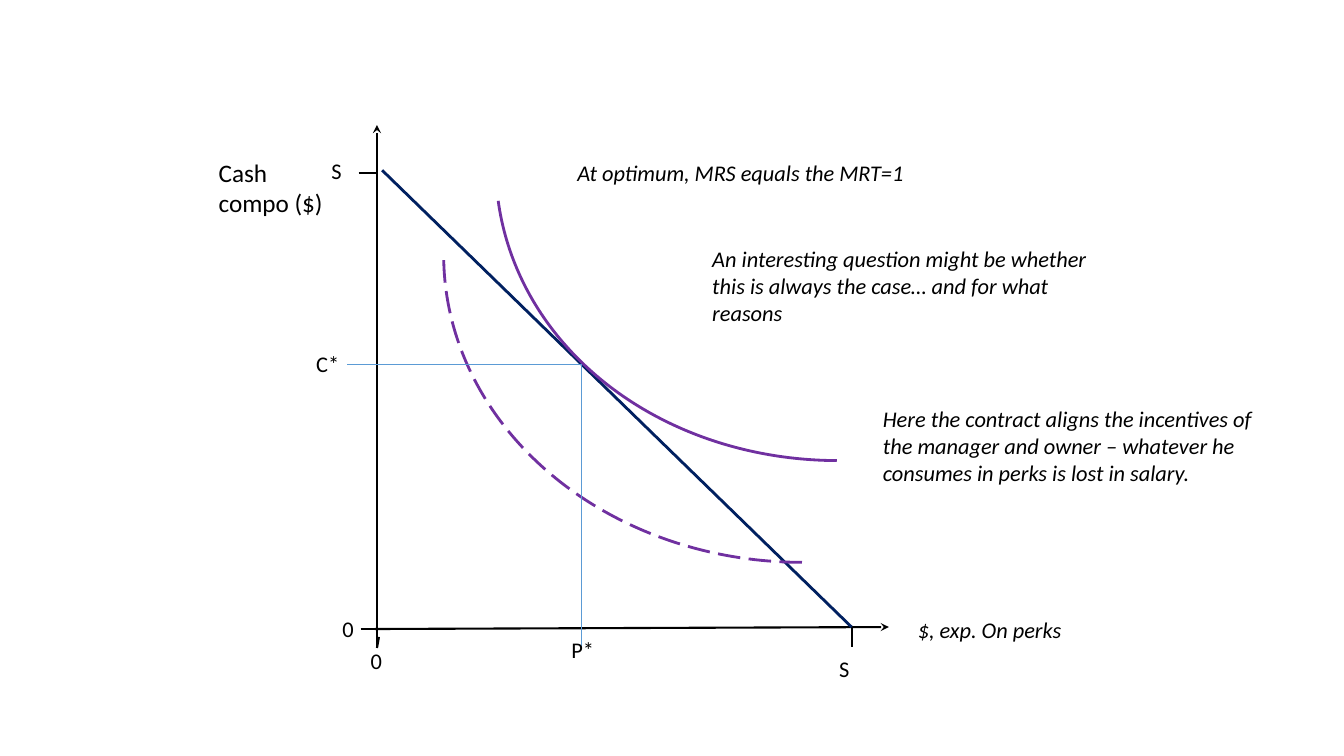
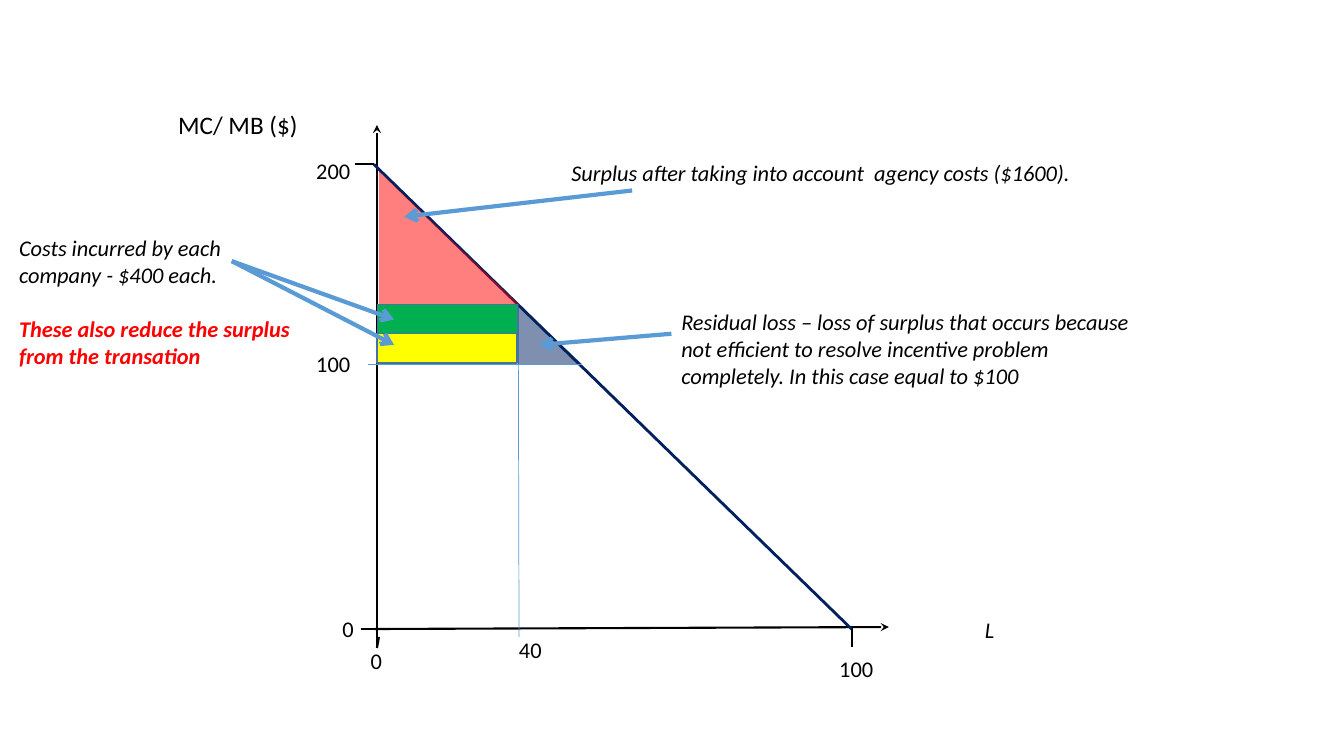
from lxml.etree import SubElement
from pptx import Presentation
from pptx.dml.color import RGBColor
from pptx.enum.dml import MSO_LINE
from pptx.enum.shapes import MSO_CONNECTOR, MSO_SHAPE
from pptx.enum.text import MSO_AUTO_SIZE, PP_ALIGN
from pptx.oxml.ns import qn
from pptx.util import Cm, Pt

BLACK, NAVY, BLUE, PURPLE = "000000", "002060", "5B9BD5", "7030A0"
RED, GREEN, YELLOW, EDGE = "FF0000", "00B050", "FFFF00", "43739E"


def color(hex_string):
    return RGBColor.from_string(hex_string)


class Diagram:
    """Style of the deck and the page being drawn; lengths are centimetres."""
    font = "Calibri"
    label_size, title_size = 16, 18
    # Shared geometry: axis crossing, price level and optimal quantity
    left, bottom, level, optimum, limit = 9.5, 15.85, 9.17, 14.66, 21.46

    def __init__(self):
        self.deck = Presentation()
        self.deck.slide_width, self.deck.slide_height = Cm(33.87), Cm(19.05)
        self.page = None

    def new_page(self):
        self.page = self.deck.slides.add_slide(self.deck.slide_layouts[6])

    def text(self, x, y, width, *paragraphs, height=0.94, size=label_size,
             italic=False, align=PP_ALIGN.LEFT):
        box = self.page.shapes.add_textbox(Cm(x), Cm(y), Cm(width), Cm(height))
        frame = box.text_frame
        frame.word_wrap = True
        frame.auto_size = MSO_AUTO_SIZE.SHAPE_TO_FIT_TEXT
        for index, words in enumerate(paragraphs):
            para = frame.add_paragraph() if index else frame.paragraphs[0]
            para.text = words
            para.alignment = align
            para.font.name, para.font.size = self.font, Pt(size)
            para.font.italic = italic
            para.font.color.rgb = color(BLACK)
        return frame

    def note(self, x, y, width, *paragraphs, **options):
        return self.text(x, y, width, *paragraphs, italic=True, **options)

    def line(self, start, end, hue=BLACK, width=1.5, arrow=None):
        connector = self.page.shapes.add_connector(
            MSO_CONNECTOR.STRAIGHT, *map(Cm, start + end))
        connector.line.color.rgb = color(hue)
        connector.line.width = Pt(width)
        properties = connector._element.spPr
        SubElement(properties, qn("a:effectLst"))
        if arrow:
            SubElement(properties.find(qn("a:ln")), qn("a:tailEnd"), type=arrow)

    def pointer(self, start, end):
        self.line(start, end, BLUE, 3, "arrow")

    def guide(self, start, end):
        self.line(start, end, BLUE, 0.5)

    def area(self, kind, x, y, width, height, fill, edge=None, opacity=None):
        shape = self.page.shapes.add_shape(
            kind, Cm(x), Cm(y), Cm(width), Cm(height))
        shape.shadow.inherit = False
        shape.fill.solid()
        shape.fill.fore_color.rgb = color(fill)
        if opacity:
            hue = shape._element.spPr.find(qn("a:solidFill"))[0]
            SubElement(hue, qn("a:alpha"), val=str(opacity * 1000))
        if edge:
            shape.line.color.rgb = color(edge)
            shape.line.width = Pt(1)
        else:
            shape.line.fill.background()

    def curve(self, x, y, rotation, start=None, dash=None):
        arc = self.page.shapes.add_shape(
            MSO_SHAPE.ARC, Cm(x), Cm(y), Cm(18.06), Cm(15.49))
        arc.shadow.inherit = False
        arc.rotation = rotation
        if start:
            arc.adjustments[0] = start
            arc.adjustments[1] = 0
        arc.fill.background()
        arc.line.color.rgb = color(PURPLE)
        arc.line.width = Pt(2)
        if dash:
            arc.line.dash_style = dash

    def axes(self, x_name, x_limit, x_limit_width):
        left, bottom, limit = self.left, self.bottom, self.limit
        self.line((left, 16.31), (left, 3.15), arrow="stealth")
        self.line((9.45, bottom), (22.4, 15.8), arrow="stealth")
        # Ticks and their labels
        self.line((left, 16.33), (9.55, 16.05))
        self.line((9.09, bottom), (9.55, bottom))
        self.line((limit, 15.8), (limit, 16.31))
        self.text(9.09, 16.18, 1.09, "0")
        self.text(8.38, 15.37, 0.71, "0")
        self.text(20.9, 16.38, x_limit_width, x_limit)
        self.note(22.78, 15.39, 4.32, x_name, align=PP_ALIGN.CENTER)


def perks_page(diagram):
    diagram.new_page()
    diagram.axes("$, exp. On perks", "S", 1.09)
    diagram.text(5.26, 3.84, 3.48, "Cash compo ($)", height=1.8,
                 size=diagram.title_size)
    diagram.text(8.1, 3.84, 1.55, "S")
    diagram.line((9.04, 4.37), (diagram.left, 4.37))

    # Budget line and indifference curves
    diagram.line((9.63, 4.29), (diagram.limit, 15.8), NAVY, 2)
    diagram.curve(12.47, -3.91, 172.2, start=168.514)
    diagram.curve(11.18, -1.32, 180, dash=MSO_LINE.LONG_DASH)

    # Optimum
    peak = (diagram.optimum, diagram.level)
    diagram.guide(peak, (8.74, diagram.level))
    diagram.guide(peak, (diagram.optimum, 16.31))
    diagram.text(7.72, 8.69, 1.55, "C*")
    diagram.text(14.15, 15.9, 1.55, "P*")

    # Comments
    diagram.note(14.3, 3.89, 10.13, "At optimum, MRS equals the MRT=1")
    diagram.note(17.7, 6.05, 10.13, "An interesting question might be whether "
                 "this is always the case… and for what reasons", height=2.31)
    diagram.note(22, 10.08, 10.13, "Here the contract aligns the incentives of "
                 "the manager and owner – whatever he consumes in perks is "
                 "lost in salary.", height=2.31)


def surplus_page(diagram):
    diagram.new_page()
    diagram.axes("L", "100", 2.13)
    diagram.text(4.24, 2.62, 4.27, "MC/ MB ($)", height=1.02,
                 size=diagram.title_size)
    diagram.text(7.72, 3.84, 1.93, "200")
    diagram.line((8.94, 4.14), (9.42, 4.14))

    # Marginal benefit and guides
    diagram.line((9.42, 4.14), (diagram.limit, diagram.bottom), NAVY, 2)
    diagram.guide((diagram.optimum, diagram.level), (9.27, diagram.level))
    diagram.guide((13.06, 7.67), (13.08, 16.05))
    diagram.text(7.72, 8.69, 1.55, "100")
    diagram.text(12.83, 15.9, 1.55, "40")

    # Surplus, loss and cost areas
    triangle, bar = MSO_SHAPE.RIGHT_TRIANGLE, MSO_SHAPE.RECTANGLE
    diagram.area(triangle, 9.55, 4.32, 3.53, 3.35, RED, opacity=50)
    diagram.area(triangle, 13.06, 7.67, 1.6, 1.5, NAVY, opacity=50)
    diagram.area(bar, 9.52, 7.67, 3.53, 0.74, GREEN, EDGE)
    diagram.area(bar, 9.5, 8.41, 3.53, 0.74, YELLOW, EDGE)

    # Comments and their pointers
    diagram.note(14.15, 3.89, 14.25,
                 "Surplus after taking into account  agency costs ($1600).")
    diagram.pointer((15.93, 4.8), (10.19, 5.46))
    diagram.note(16.92, 7.65, 12.24, "Residual loss – loss of surplus that "
                 "occurs because not efficient to resolve incentive problem "
                 "completely. In this case equal to $100", height=2.31)
    diagram.pointer((16.92, 8.41), (13.59, 8.69))
    costs = diagram.note(0.23, 5.77, 7.72,
                         "Costs incurred by each company - $400 each.",
                         "These also reduce the surplus from the transation",
                         height=3.68)
    warning = costs.paragraphs[1]
    warning.space_before = Pt(19.5)
    warning.font.bold = True
    warning.font.color.rgb = color(RED)
    for target in (8.05, 8.69):
        diagram.pointer((5.84, 6.58), (9.93, target))


def main():
    diagram = Diagram()
    perks_page(diagram)
    surplus_page(diagram)
    diagram.deck.save("out.pptx")


if __name__ == "__main__":
    main()
